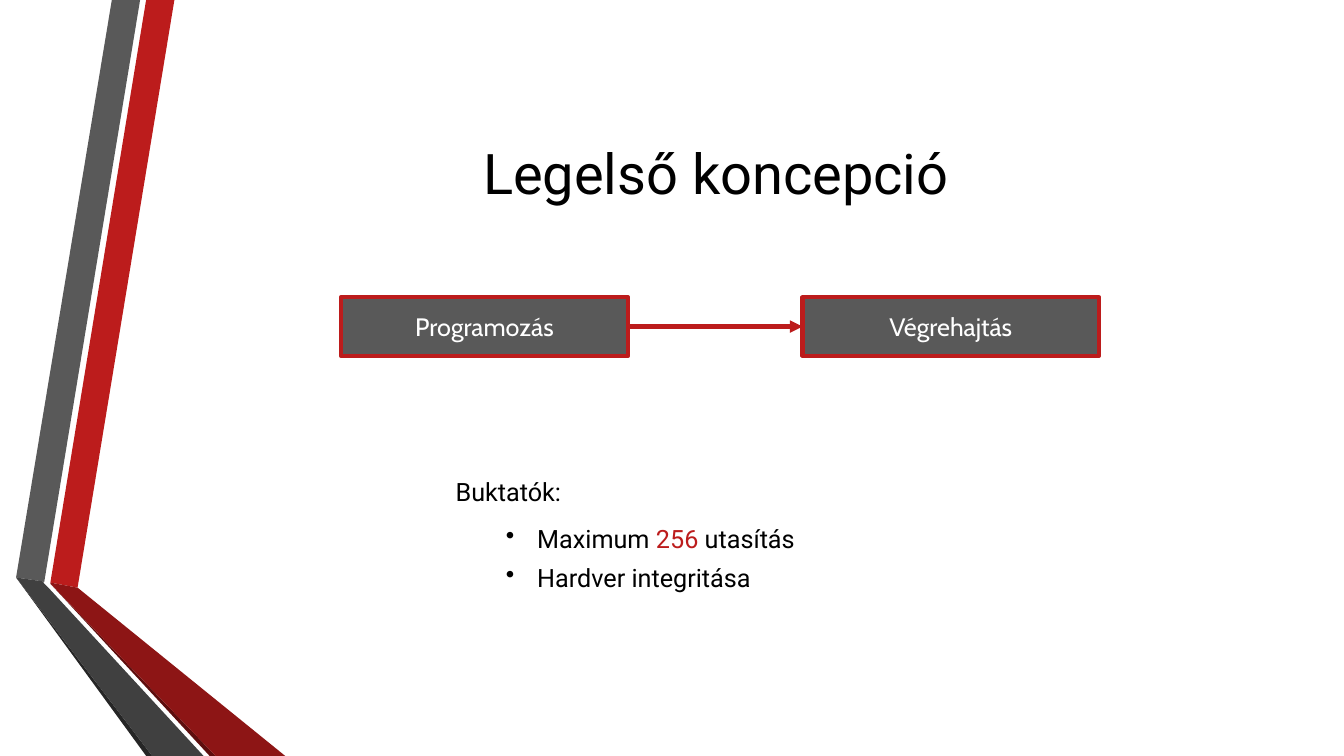
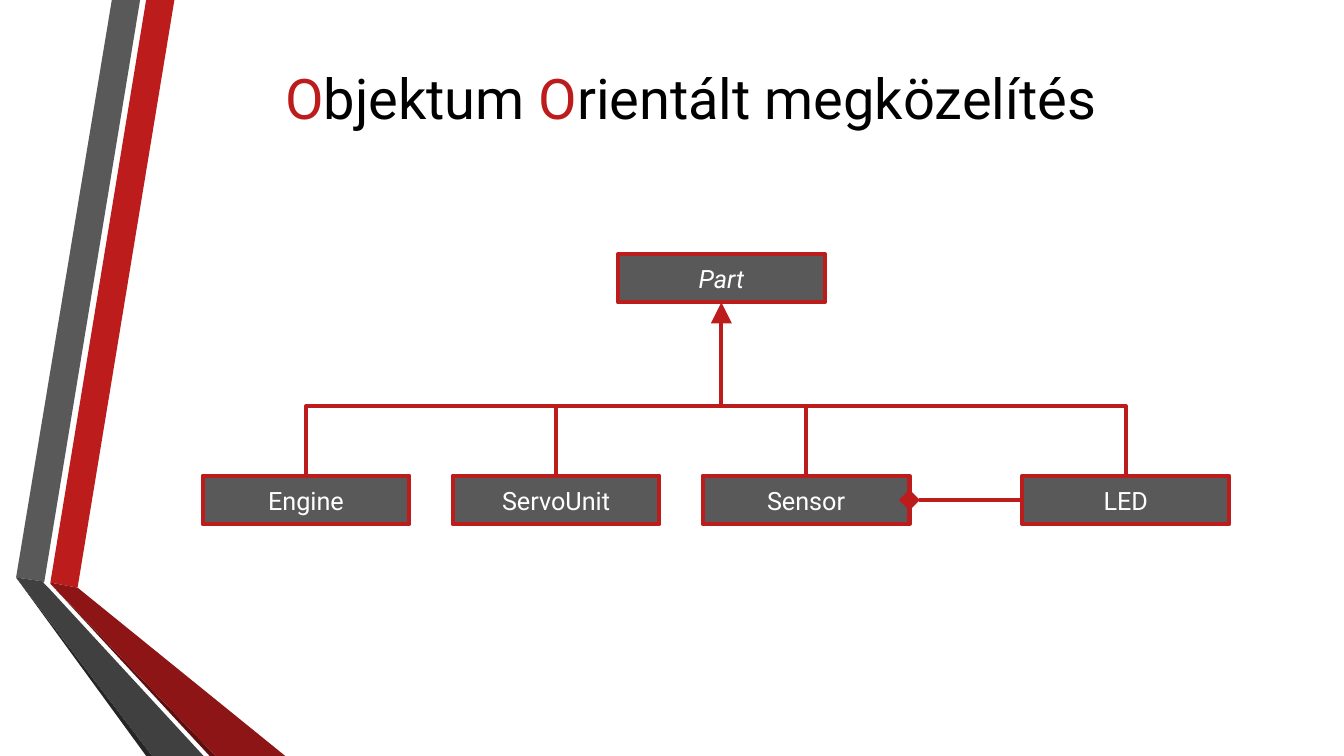
"""Build two slides on a first concept and its object-oriented approach."""
from lxml import etree
from pptx import Presentation
from pptx import util as u
from pptx.dml.color import RGBColor
from pptx.enum import shapes, text
from pptx.oxml.ns import qn

PX = 9144
RED = RGBColor(0xBC, 0x1C, 0x1C)
DARK_RED = RGBColor(0x8D, 0x15, 0x15)
DEEP_RED = RGBColor(0x5E, 0x0E, 0x0E)
GREY = RGBColor(0x59, 0x59, 0x59)
DARK_GREY = RGBColor(0x40, 0x40, 0x40)
DEEP_GREY = RGBColor(0x26, 0x26, 0x26)
BLACK = RGBColor(0, 0, 0)
WHITE = RGBColor(0xFF, 0xFF, 0xFF)
FONT, FLOW_FONT = "Roboto", "Cabin"

BANDS = [
    (RED, [(50, 578), (77, 583), (173, 0), (145, 0)]),
    (GREY, [(139, 0), (111, 0), (16, 573), (44, 577)]),
    (DEEP_GREY, [(16, 573), (145, 750), (151, 750)]),
    (DEEP_RED, [(50, 579), (208, 750), (214, 750)]),
    (DARK_RED, [(50, 579), (214, 750), (283, 750), (77, 583), (50, 578)]),
    (DARK_GREY, [(202, 750), (48, 583), (43, 578), (44, 577), (16, 573), (151, 750)]),
]

CONCEPT_TITLE = [("Legelső koncepció", BLACK)]
STEPS = [("Programozás", 338, 285), ("Végrehajtás", 796, 294)]
STEP_TOP, STEP_HEIGHT = 295, 58
PITFALLS_HEAD = [("Buktatók:", BLACK)]
PITFALLS = [
    [("Maximum ", BLACK), ("256", RED), (" utasítás", BLACK)],
    [("Hardver integritása", BLACK)],
]

OBJECT_TITLE = [("O", RED), ("bjektum ", BLACK), ("O", RED),
                ("rientált megközelítés", BLACK)]
PARENT = ("Part", 613, 252)
CHILDREN = [("Engine", 201), ("ServoUnit", 449), ("Sensor", 697), ("LED", 1014)]
CHILD_TOP, CLASS_WIDTH, CLASS_HEIGHT = 472, 205, 48
BUS_Y = 403

TOP, LEFT, BOTTOM, RIGHT = range(4)


def px(*values):
    return [u.Emu(v * PX) for v in values]


def add_bands(s, layout):
    tree = layout.shapes.element
    for i, (color, points) in enumerate(BANDS):
        builder = s.shapes.build_freeform(*points[0], scale=PX)
        builder.add_line_segments(points[1:], close=True)
        band = builder.convert_to_shape()
        band.shadow.inherit = False
        band.fill.solid()
        band.fill.fore_color.rgb = color
        band.line.fill.background()
        band.name = f"Band {i + 1}"
        band.element.nvSpPr.cNvPr.set("id", str(100 + i))
        tree.insert(2 + i, band.element)


def write(p, runs, size):
    p.font.size, p.font.name = u.Pt(size), FONT
    for words, color in runs:
        r = p.add_run()
        r.text = words
        r.font.color.rgb = color


def set_title(s, runs, left, top, width, height):
    title = s.shapes.title
    title.left, title.top, title.width, title.height = px(left, top, width, height)
    tf = title.text_frame
    tf.vertical_anchor = text.MSO_ANCHOR.MIDDLE
    p = tf.paragraphs[0]
    p.alignment = text.PP_ALIGN.CENTER
    write(p, runs, 40)


def add_box(s, label, left, top, width, height, font=FONT, italic=False):
    box = s.shapes.add_shape(shapes.MSO_SHAPE.RECTANGLE, *px(left, top, width, height))
    box.shadow.inherit = False
    box.fill.solid()
    box.fill.fore_color.rgb = GREY
    box.line.color.rgb = RED
    box.line.width = u.Pt(3)
    tf = box.text_frame
    tf.vertical_anchor = text.MSO_ANCHOR.MIDDLE
    p = tf.paragraphs[0]
    p.text = label
    p.alignment = text.PP_ALIGN.CENTER
    p.font.size, p.font.name, p.font.italic = u.Pt(18), font, italic
    p.font.color.rgb = WHITE
    return box


def add_link(s, end, start=None, point=(0, 0), elbow=False, head=None, size="med"):
    kind = shapes.MSO_CONNECTOR.ELBOW if elbow else shapes.MSO_CONNECTOR.STRAIGHT
    link = s.shapes.add_connector(kind, *point, *point)
    if start:
        link.begin_connect(*start)
    link.end_connect(*end)
    link.line.color.rgb = RED
    link.line.width = u.Pt(3)
    sp_pr = link.element.spPr
    if elbow:
        sp_pr.find(qn("a:prstGeom")).set("prst", "bentConnector2")
    ln = sp_pr.find(qn("a:ln"))
    etree.SubElement(ln, qn("a:round"))
    if head:
        etree.SubElement(ln, qn("a:tailEnd"), type=head, w=size, len=size)
    etree.SubElement(sp_pr, qn("a:effectLst"))


def add_pitfalls(s):
    tf = s.shapes.add_textbox(*px(442, 468, 645, 126)).text_frame
    tf.word_wrap = True
    p = tf.paragraphs[0]
    p.space_after = u.Pt(12)
    write(p, PITFALLS_HEAD, 18)
    for runs in PITFALLS:
        p = tf.add_paragraph()
        p.level = 1
        p.space_after = u.Pt(6)
        write(p, runs, 18)
        p_pr = p._p.get_or_add_pPr()
        p_pr.set("marL", str(81 * PX))
        p_pr.set("indent", str(-31 * PX))
        bullet = etree.Element(qn("a:buChar"), char="•")
        p_pr.find(qn("a:defRPr")).addprevious(bullet)


def build_concept(s):
    set_title(s, CONCEPT_TITLE, 162, 75, 1096, 192)
    first, last = [add_box(s, label, left, STEP_TOP, width, STEP_HEIGHT, FLOW_FONT)
                   for label, left, width in STEPS]
    add_link(s, (last, LEFT), (first, RIGHT), head="triangle")
    add_pitfalls(s)


def build_objects(s):
    set_title(s, OBJECT_TITLE, 137, 0, 1096, 192)
    parent = add_box(s, *PARENT, CLASS_WIDTH, CLASS_HEIGHT, italic=True)
    children = [add_box(s, label, left, CHILD_TOP, CLASS_WIDTH, CLASS_HEIGHT)
                for label, left in CHILDREN]
    fork = (parent.left + parent.width // 2, u.Emu(BUS_Y * PX))
    add_link(s, (parent, BOTTOM), point=fork, head="triangle", size="lg")
    for child in children:
        add_link(s, (child, TOP), point=fork, elbow=True)
    sensor, led = children[-2:]
    add_link(s, (sensor, RIGHT), (led, LEFT), head="diamond", size="lg")


def main():
    prs = Presentation()
    prs.slide_width, prs.slide_height = px(1333, 750)
    layout = prs.slide_layouts[5]
    concept, objects = [prs.slides.add_slide(layout) for _ in range(2)]
    add_bands(concept, layout)
    build_concept(concept)
    build_objects(objects)
    prs.save("out.pptx")


if __name__ == "__main__":
    main()
